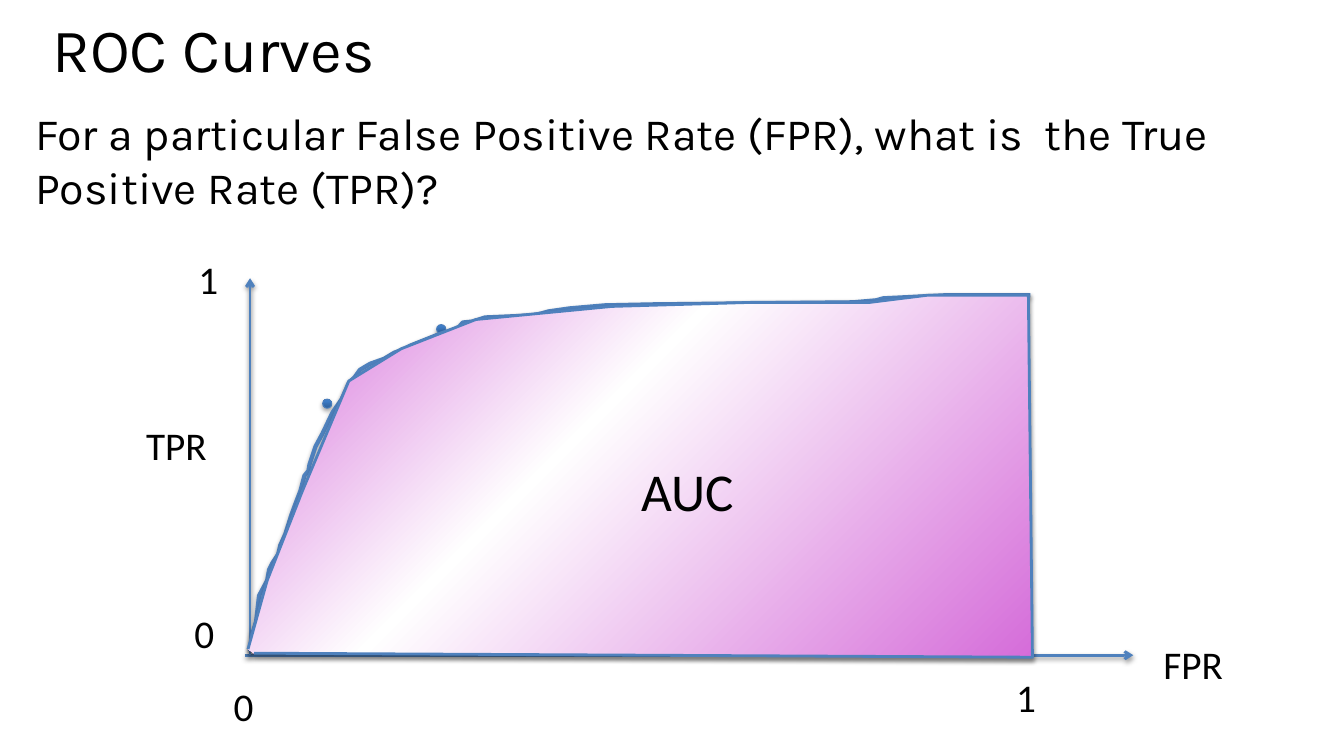
from pptx import Presentation
from pptx.dml.color import RGBColor
from pptx.enum.shapes import MSO_CONNECTOR, MSO_SHAPE
from pptx.enum.text import MSO_ANCHOR, PP_ALIGN
from pptx.oxml import parse_xml
from pptx.oxml.ns import nsdecls, qn
from pptx.util import Inches, Pt

LINE, OVAL = MSO_CONNECTOR.STRAIGHT, MSO_SHAPE.OVAL
TOP, LEFT = MSO_ANCHOR.TOP, PP_ALIGN.LEFT
BLACK = RGBColor(0x00, 0x00, 0x00)
BLUE = RGBColor(0x4F, 0x81, 0xBD)
DOT_EDGE = RGBColor(0x4B, 0x7E, 0xBC)
DOT_STOPS = [(0, RGBColor(0x2F, 0x5F, 0x99)), (80, RGBColor(0x3D, 0x7C, 0xC7)),
             (100, RGBColor(0x3A, 0x7C, 0xCB))]
PINK, WHITE = RGBColor(0xD5, 0x6C, 0xD9), RGBColor(0xFF, 0xFF, 0xFF)
AREA_STOPS = [(0, PINK), (59, WHITE), (100, PINK)]
DOT_SHADE = '<a:lin ang="16200000" scaled="0"/>'
AREA_SHADE = '<a:path path="circle"><a:fillToRect l="100000" t="100000"/></a:path>'

# Content, in inches
TITLE = "ROC Curves"
QUESTION = ("For a particular False Positive Rate (FPR), "
            "what is  the True Positive Rate (TPR)?")
LABELS = [  # text, left, top, width, height, size
    ("FPR", 11.44, 6.3, 0.8, 0.57, 28), ("TPR", 1.35, 4.13, 0.81, 0.57, 28),
    ("1", 1.87, 2.48, 0.4, 0.57, 28), ("1", 9.98, 6.63, 0.4, 0.57, 28),
    ("0", 2.22, 6.72, 0.4, 0.57, 28), ("0", 1.83, 6.0, 0.4, 0.57, 28)]
AUC = ("AUC", 6.26, 4.5, 1.14, 0.74, 38)
AXES = [(2.43, 6.5, 11.24, 6.5), (2.48, 6.5, 2.48, 2.76)]
DOT_SIZE = 0.09
DOTS = [(3.2, 3.96), (4.33, 3.22), (6.26, 3.02)]
CURVE = [
    (2.48, 6.46), (2.5, 6.3), (2.54, 6.17), (2.57, 5.91), (2.65, 5.76),
    (2.67, 5.65), (2.7, 5.59), (2.76, 5.5), (2.78, 5.41), (2.83, 5.3),
    (2.89, 5.11), (2.93, 5), (2.98, 4.87), (3.02, 4.72), (3.06, 4.67),
    (3.07, 4.61), (3.13, 4.43), (3.2, 4.3), (3.3, 4.09), (3.39, 3.96),
    (3.44, 3.85), (3.46, 3.8), (3.52, 3.74), (3.57, 3.67), (3.67, 3.61),
    (3.81, 3.56), (3.91, 3.5), (4.02, 3.46), (4.07, 3.43), (4.37, 3.31),
    (4.54, 3.26), (4.59, 3.2), (4.69, 3.19), (4.81, 3.15), (5.28, 3.13),
    (5.37, 3.11), (5.44, 3.09), (5.65, 3.06), (6.0, 3.03), (6.48, 3.02),
    (8.46, 3), (8.69, 2.98), (8.76, 2.96), (9.37, 2.93), (10.22, 2.93)]
AREA = [
    (2.46, 6.44), (2.65, 5.76), (3, 4.87), (3.46, 3.78), (3.98, 3.46),
    (4.72, 3.17), (6.07, 3.04), (7.46, 3), (8.63, 3), (9.19, 2.93),
    (10.2, 2.93), (10.24, 6.52), (2.52, 6.48)]

prs = Presentation()
prs.slide_width, prs.slide_height = Inches(13.33), Inches(7.5)
s = prs.slides.add_slide(prs.slide_layouts[5])


def write(sp, text, size, font="Calibri", wrap=False, spacing=None):
    tf = sp.text_frame
    tf.word_wrap = wrap
    tf.vertical_anchor = TOP
    p = tf.paragraphs[0]
    p.alignment = LEFT
    p.line_spacing = spacing
    r = p.add_run()
    r.text = text
    r.font.name, r.font.size, r.font.color.rgb = font, Pt(size), BLACK


def label(text, x, y, w, h, size, **fmt):
    sp = s.shapes.add_textbox(*map(Inches, (x, y, w, h)))
    write(sp, text, size, **fmt)


def outline(sp, color, width, alpha=38, drop=1.6):
    """Set the line, then the soft shadow below it."""
    sp.line.color.rgb, sp.line.width = color, Pt(width)
    spPr = sp._element.spPr
    spPr.append(parse_xml(
        f'<a:effectLst {nsdecls("a")}><a:outerShdw blurRad="{Pt(3.1)}" '
        f'dist="{Pt(drop)}" dir="5400000" rotWithShape="0"><a:srgbClr val="000000">'
        f'<a:alpha val="{alpha * 1000}"/></a:srgbClr></a:outerShdw></a:effectLst>'))


def gradient(sp, stops, shade):
    sp.fill.background()
    spPr = sp._element.spPr
    gs = "".join(f'<a:gs pos="{pos * 1000}"><a:srgbClr val="{color}"/></a:gs>'
                 for pos, color in stops)
    spPr.replace(spPr.find(qn("a:noFill")), parse_xml(
        f'<a:gradFill {nsdecls("a")} rotWithShape="1"><a:gsLst>{gs}</a:gsLst>'
        f'{shade}</a:gradFill>'))


def freeform(points, close):
    pts = [(Inches(x), Inches(y)) for x, y in points]
    fb = s.shapes.build_freeform(*pts[0])
    fb.add_line_segments(pts[1:], close=close)
    return fb.convert_to_shape()


# Title and question
title = s.shapes.title
title.left, title.top, title.width, title.height = map(Inches, (0.42, 0.2, 12.6, 1.16))
write(title, TITLE, 44, font="Karla", wrap=True, spacing=0.8)
label(QUESTION, 0.25, 1, 12.6, 1.52, 32, font="Karla", wrap=True)

# Axes with arrowheads
for ends in AXES:
    axis = s.shapes.add_connector(LINE, *map(Inches, ends))
    outline(axis, BLUE, 2)
    axis.line._get_or_add_ln().append(
        parse_xml(f'<a:tailEnd {nsdecls("a")} type="arrow"/>'))

for item in LABELS:
    label(*item)

# Sample points
for x, y in DOTS:
    dot = s.shapes.add_shape(OVAL, *map(Inches, (x, y, DOT_SIZE, DOT_SIZE)))
    gradient(dot, DOT_STOPS, DOT_SHADE)
    outline(dot, DOT_EDGE, 0.75, alpha=35, drop=1.8)

# Curve and the area under it
curve = freeform(CURVE, close=False)
curve.fill.background()
outline(curve, BLUE, 3)
area = freeform(AREA, close=False)
gradient(area, AREA_STOPS, AREA_SHADE)
outline(area, BLUE, 2)
label(*AUC)

prs.save("out.pptx")
